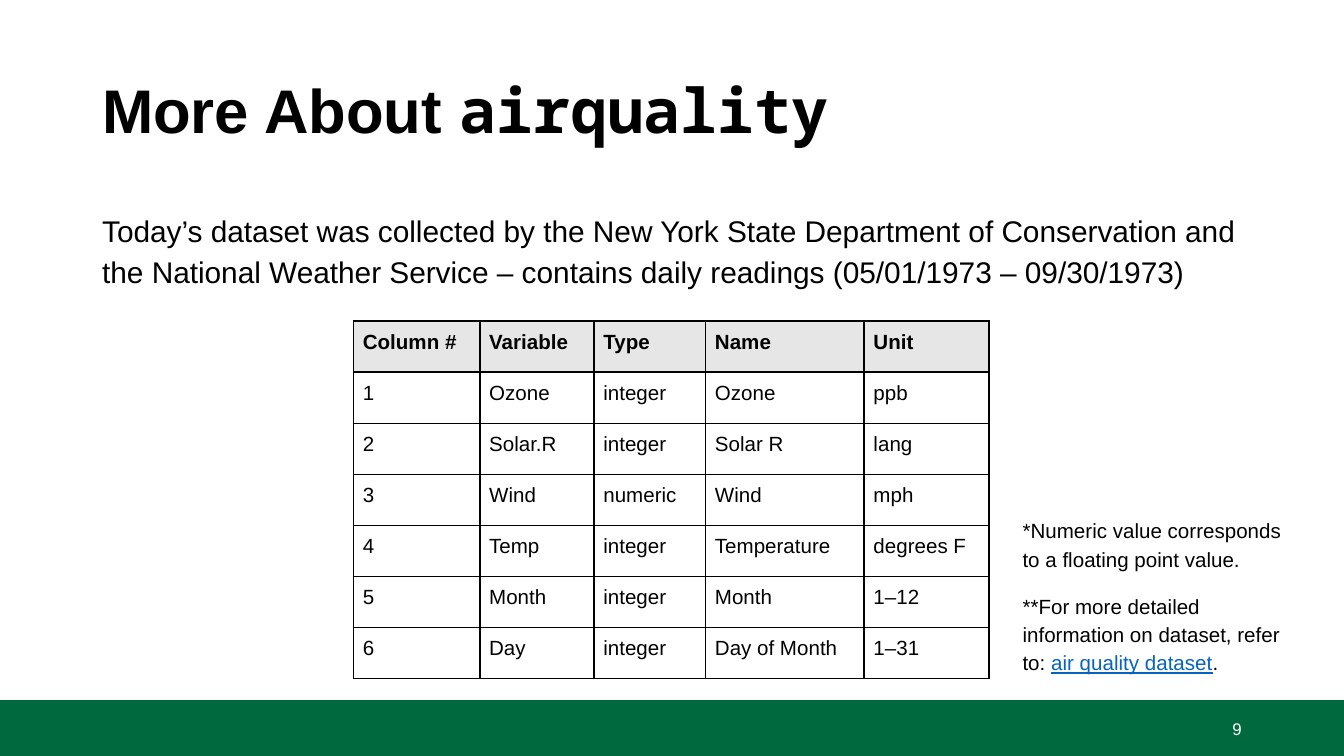
"""Build the slide that describes the airquality dataset."""
import pptx
import pptx.dml.color
import pptx.enum.shapes
import pptx.enum.text
import pptx.oxml
import pptx.oxml.ns
import pptx.util

Inches = pptx.util.Inches
Pt = pptx.util.Pt
RGBColor = pptx.dml.color.RGBColor
BLACK = RGBColor(0x00, 0x00, 0x00)
WHITE = RGBColor(0xFF, 0xFF, 0xFF)
GREEN = RGBColor(0x00, 0x69, 0x3E)
GRAY = RGBColor(0xE7, 0xE6, 0xE6)
BLUE = RGBColor(0x05, 0x63, 0xC1)
SPACE = pptx.oxml.ns.nsdecls("a")


def style(run, size, color=BLACK, bold=False, face="Arial"):
    run.font.name = face
    run.font.size = Pt(size)
    run.font.bold = bold
    run.font.color.rgb = color


def frame(shape, box, pad_x, pad_y):
    shape.left, shape.top, shape.width, shape.height = map(Inches, box)
    text = shape.text_frame
    text.word_wrap = True
    text.auto_size = pptx.enum.text.MSO_AUTO_SIZE.NONE
    text.margin_left = text.margin_right = Inches(pad_x)
    text.margin_top = text.margin_bottom = Inches(pad_y)
    return text


deck = pptx.Presentation()
deck.slide_width = Inches(10)
deck.slide_height = Inches(10 * 9 / 16)
slide = deck.slides.add_slide(deck.slide_layouts[1])
shapes = slide.shapes

top = Inches(5.21)
band = shapes.add_shape(pptx.enum.shapes.MSO_SHAPE.RECTANGLE, Inches(0), top,
                        deck.slide_width, deck.slide_height - top)
band.shadow.inherit = False
band.fill.solid()
band.fill.fore_color.rgb = GREEN
band.line.fill.background()

title = frame(shapes.title, (0.69, 0.3, 8.62, 1.09), 0.07, 0.04)
title.vertical_anchor = pptx.enum.text.MSO_ANCHOR.MIDDLE
head = title.paragraphs[0]
head.alignment = pptx.enum.text.PP_ALIGN.LEFT
head.line_spacing = 0.9
for words, face in (("More About ", "Arial"), ("airquality", "Noto Sans Mono")):
    run = head.add_run()
    run.text = words
    style(run, 33, bold=True, face=face)

body = frame(slide.placeholders[1], (0.69, 1.5, 8.62, 3.57), 0.07, 0.04)
intro = body.paragraphs[0]
intro.text = (
    "Today’s dataset was collected by the New York State Department of "
    "Conservation and the National Weather Service – contains daily readings "
    "(05/01/1973 – 09/30/1973)")
intro.line_spacing = 1.15
intro.space_before = Pt(0)
style(intro.runs[0], 16)
props = intro._p.get_or_add_pPr()
props.set("marL", "0")
props.set("indent", "0")
props.append(pptx.oxml.parse_xml(f"<a:buNone {SPACE}/>"))

rows = [
    ("Column #", "Variable", "Type", "Name", "Unit"),
    ("1", "Ozone", "integer", "Ozone", "ppb"),
    ("2", "Solar.R", "integer", "Solar R", "lang"),
    ("3", "Wind", "numeric", "Wind", "mph"),
    ("4", "Temp", "integer", "Temperature", "degrees F"),
    ("5", "Month", "integer", "Month", "1–12"),
    ("6", "Day", "integer", "Day of Month", "1–31"),
]
widths = [0.94, 0.85, 0.83, 1.18, 0.93]
high = 0.38
grid = shapes.add_table(len(rows), len(widths), Inches(2.63), Inches(2.39),
                        Inches(sum(widths)), Inches(high * len(rows))).table
grid.horz_banding = False
for column, width in zip(grid.columns, widths):
    column.width = Inches(width)
for r, row in enumerate(rows):
    grid.rows[r].height = Inches(high)
    for c, words in enumerate(row):
        cell = grid.cell(r, c)
        cell.text_frame.text = words
        style(cell.text_frame.paragraphs[0].runs[0], 11, bold=r == 0)
        cell.margin_left = cell.margin_right = Inches(0.07)
        cell.margin_top = cell.margin_bottom = Inches(0.07)
        if r == 0:
            cell.fill.solid()
            cell.fill.fore_color.rgb = GRAY
        else:
            cell.fill.background()
        for i, side in enumerate(("lnL", "lnR", "lnT", "lnB")):
            edge = pptx.oxml.parse_xml(
                f'<a:{side} {SPACE} w="{Pt(1)}"><a:solidFill>'
                f'<a:srgbClr val="{BLACK}"/></a:solidFill></a:{side}>')
            cell._tc.get_or_add_tcPr().insert(i, edge)

box = (7.51, 3.73, 2.29, 1.38)
notes = frame(shapes.add_textbox(*map(Inches, box)), box, 0.1, 0.1)
notes.text = ("*Numeric value corresponds to a floating point value.\n"
              "**For more detailed information on dataset, refer to: ")
for words in ("air quality dataset", "."):
    notes.paragraphs[1].add_run().text = words
for note in notes.paragraphs:
    note.line_spacing = 1.15
    note.space_before = Pt(10)
    for run in note.runs:
        style(run, 11)
link = notes.paragraphs[1].runs[1]
link.font.color.rgb = BLUE
link.font.underline = True

box = (8.9, 5.27, 0.41, 0.3)
number = frame(shapes.add_textbox(*map(Inches, box)), box, 0.07, 0.04)
number.vertical_anchor = pptx.enum.text.MSO_ANCHOR.MIDDLE
number.text = "9"
number.paragraphs[0].alignment = pptx.enum.text.PP_ALIGN.RIGHT
style(number.paragraphs[0].runs[0], 9, WHITE)

deck.save("out.pptx")
